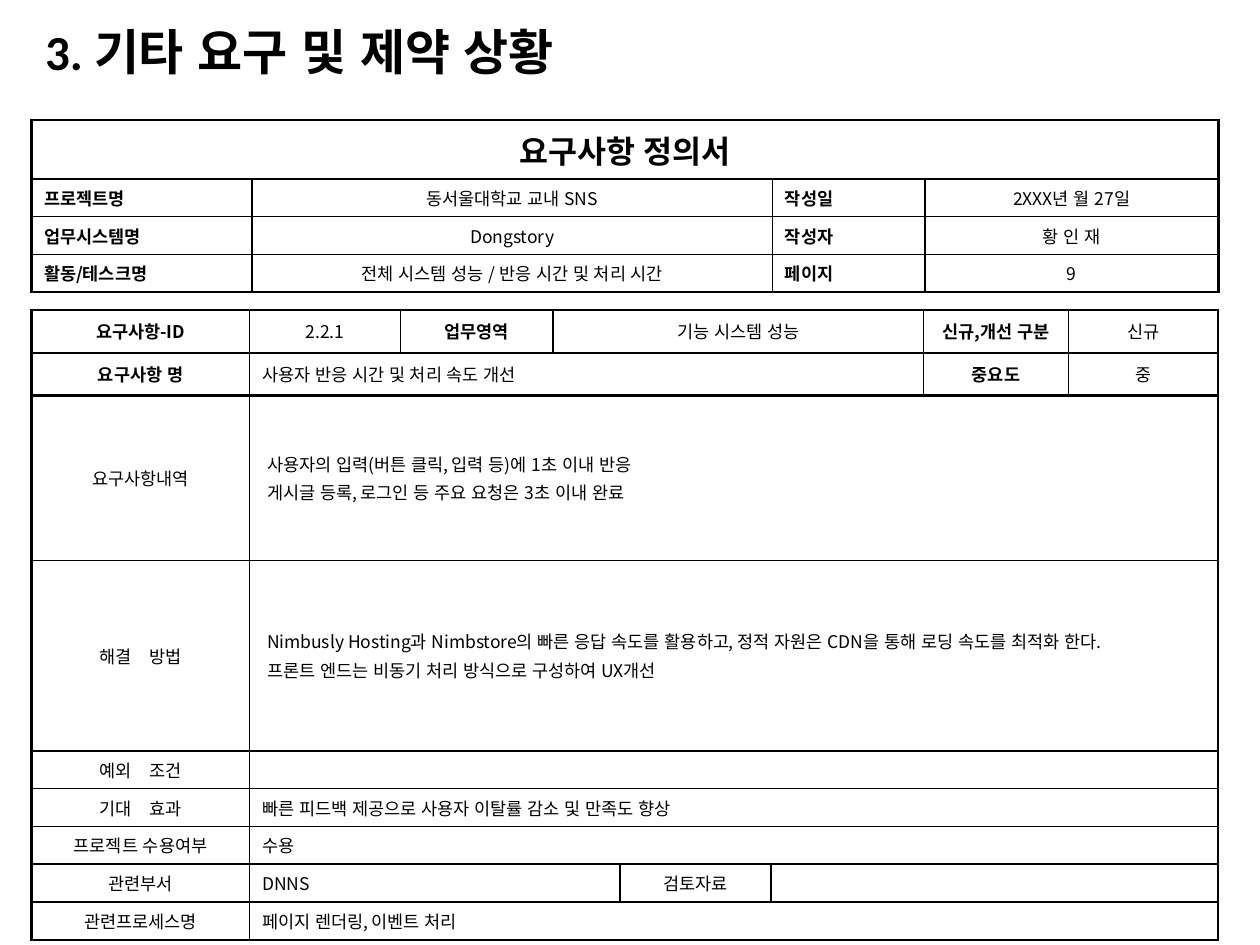
from dataclasses import dataclass
from lxml.etree import SubElement
from pptx import Presentation
from pptx.dml.color import RGBColor
from pptx.enum.lang import MSO_LANGUAGE_ID
from pptx.enum.text import MSO_ANCHOR, PP_ALIGN
from pptx.oxml.ns import qn
from pptx.util import Inches, Pt


@dataclass(frozen=True)
class Theme:
    ink: str = "000000"
    head: str = "Calibri"
    body: str = "Noto Sans CJK KR"
    title: int = 28
    form: int = 18
    text: int = 10
    thin: float = 1
    thick: float = 1.5


THEME = Theme()
LEFT, WIDTH, ROW = 0.25, 9.42, 0.3

# Cell styles: alignment, bold, size, left margin
STYLES = {
    "form": (PP_ALIGN.CENTER, True, THEME.form, 0.1),
    "name": (PP_ALIGN.JUSTIFY, True, THEME.text, 0.1),
    "bold": (PP_ALIGN.CENTER, True, THEME.text, 0.1),
    "mid": (PP_ALIGN.CENTER, False, THEME.text, 0.1),
    "left": (PP_ALIGN.LEFT, False, THEME.text, 0.1),
    "note": (PP_ALIGN.LEFT, False, THEME.text, 0.14),
}

# Each cell: text, style, columns spanned
INFO = [
    [("요구사항 정의서", "form", 4)],
    [("프로젝트명", "name", 1), ("동서울대학교 교내 SNS", "mid", 1),
     ("작성일", "name", 1), ("2XXX년 월 27일", "mid", 1)],
    [("업무시스템명", "name", 1), ("Dongstory", "mid", 1),
     ("작성자", "name", 1), ("황 인 재", "mid", 1)],
    [("활동/테스크명", "name", 1), ("전체 시스템 성능 / 반응 시간 및 처리 시간", "mid", 1),
     ("페이지", "name", 1), ("9", "mid", 1)],
]
NEEDS = [
    [("요구사항-ID", "bold", 1), ("2.2.1", "mid", 1), ("업무영역", "bold", 1),
     ("기능 시스템 성능", "mid", 3), ("신규,개선 구분", "bold", 1), ("신규", "mid", 1)],
    [("요구사항 명", "bold", 1), ("사용자 반응 시간 및 처리 속도 개선", "left", 5),
     ("중요도", "bold", 1), ("중", "mid", 1)],
    [("요구사항내역", "mid", 1),
     ("사용자의 입력(버튼 클릭, 입력 등)에 1초 이내 반응\n"
      "게시글 등록, 로그인 등 주요 요청은 3초 이내 완료", "note", 7)],
    [("해결　방법", "mid", 1),
     ("Nimbusly Hosting과 Nimbstore의 빠른 응답 속도를 활용하고, "
      "정적 자원은 CDN을 통해 로딩 속도를 최적화 한다.\n"
      "프론트 엔드는 비동기 처리 방식으로 구성하여 UX개선", "note", 7)],
    [("예외　조건", "mid", 1), ("", "left", 7)],
    [("기대　효과", "mid", 1),
     ("빠른 피드백 제공으로 사용자 이탈률 감소 및 만족도 향상", "left", 7)],
    [("프로젝트 수용여부", "mid", 1), ("수용", "left", 7)],
    [("관련부서", "mid", 1), ("DNNS", "left", 3), ("검토자료", "mid", 1), ("", "left", 3)],
    [("관련프로세스명", "mid", 1), ("페이지 렌더링, 이벤트 처리", "left", 7)],
]


def set_font(para, face, size, bold):
    font = para.font
    font.name, font.size, font.bold = face, Pt(size), bold
    font.language_id = MSO_LANGUAGE_ID.KOREAN
    font.color.rgb = RGBColor.from_string(THEME.ink)
    # East Asian face, and the size of an empty line
    props = para._p.pPr.find(qn("a:defRPr"))
    SubElement(props, qn("a:ea"), typeface=THEME.body)
    if not para.runs:
        SubElement(para._p, qn("a:endParaRPr"), sz=str(size * 100))


def add_title(slide, text):
    box = slide.shapes.add_textbox(Inches(0.26), Inches(0.21), Inches(5.36), Inches(0.44))
    frame = box.text_frame
    frame.word_wrap = True
    frame.vertical_anchor = MSO_ANCHOR.MIDDLE
    para = frame.paragraphs[0]
    para.text = text
    para.line_spacing = 0.9
    set_font(para, THEME.head, THEME.title, True)


def add_edge(cell, side, width):
    line = SubElement(cell._tc.get_or_add_tcPr(), qn(f"a:ln{side}"), w=str(Pt(width)))
    fill = SubElement(line, qn("a:solidFill"))
    SubElement(fill, qn("a:srgbClr"), val=THEME.ink)


def fill_cell(cell, text, style):
    align, bold, size, margin = STYLES[style]
    cell.vertical_anchor = MSO_ANCHOR.MIDDLE
    cell.margin_left = Inches(margin)
    cell.text = text
    for i, para in enumerate(cell.text_frame.paragraphs):
        para.alignment = align
        if i:
            para.space_before = Pt(size * 0.2)
        set_font(para, THEME.body, size, bold)


def add_form(slide, top, cols, rows, data, heavy):
    """Heavy lists the row lines drawn thick inside the frame."""
    frame = slide.shapes.add_table(len(rows), len(cols), Inches(LEFT), Inches(top),
                                   Inches(WIDTH), Inches(sum(rows)))
    table = frame.table
    table.first_row = table.horz_banding = False
    for col, size in zip(table.columns, cols):
        col.width = Inches(size)
    for row, size in zip(table.rows, rows):
        row.height = Inches(size)

    def weigh(line, marks):
        return THEME.thick if line in marks else THEME.thin

    across, down = {0, len(cols)}, {0, len(rows), *heavy}
    for r, line in enumerate(data):
        c = 0
        for text, style, span in line:
            end = c + span
            cell = table.cell(r, c)
            if span > 1:
                cell.merge(table.cell(r, end - 1))
            fill_cell(cell, text, style)
            # Borders follow the outline of the merged cell
            for k in range(c, end):
                part = table.cell(r, k)
                if k == c:
                    add_edge(part, "L", weigh(c, across))
                if k in (c, end - 1):
                    add_edge(part, "R", weigh(end, across))
                add_edge(part, "T", weigh(r, down))
                add_edge(part, "B", weigh(r + 1, down))
                part.fill.background()
            c = end


def main():
    deck = Presentation()
    deck.slide_width, deck.slide_height = Inches(10), Inches(7.5)
    slide = deck.slides.add_slide(deck.slide_layouts[6])
    add_title(slide, "3. 기타 요구 및 제약 상황")
    # Requirement details
    add_form(slide, 2.46, [1.73, 1.2, 1.21, 0.53, 1.2, 1.21, 1.15, 1.19],
             [0.34] * 2 + [1.31, 1.51] + [ROW] * 5, NEEDS, {1, 2})
    # Document header
    add_form(slide, 0.95, [1.75, 4.13, 1.21, 2.33], [0.47] + [ROW] * 3, INFO, ())
    deck.save("out.pptx")


if __name__ == "__main__":
    main()
